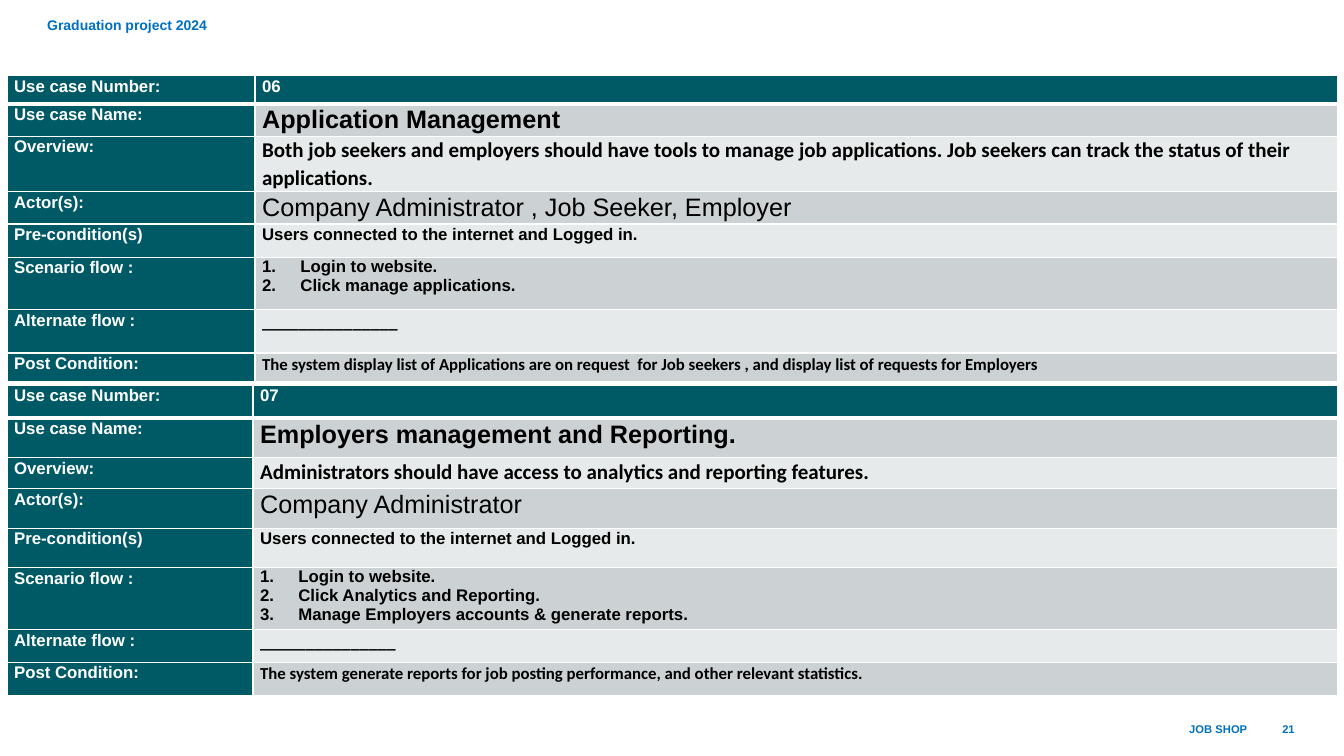
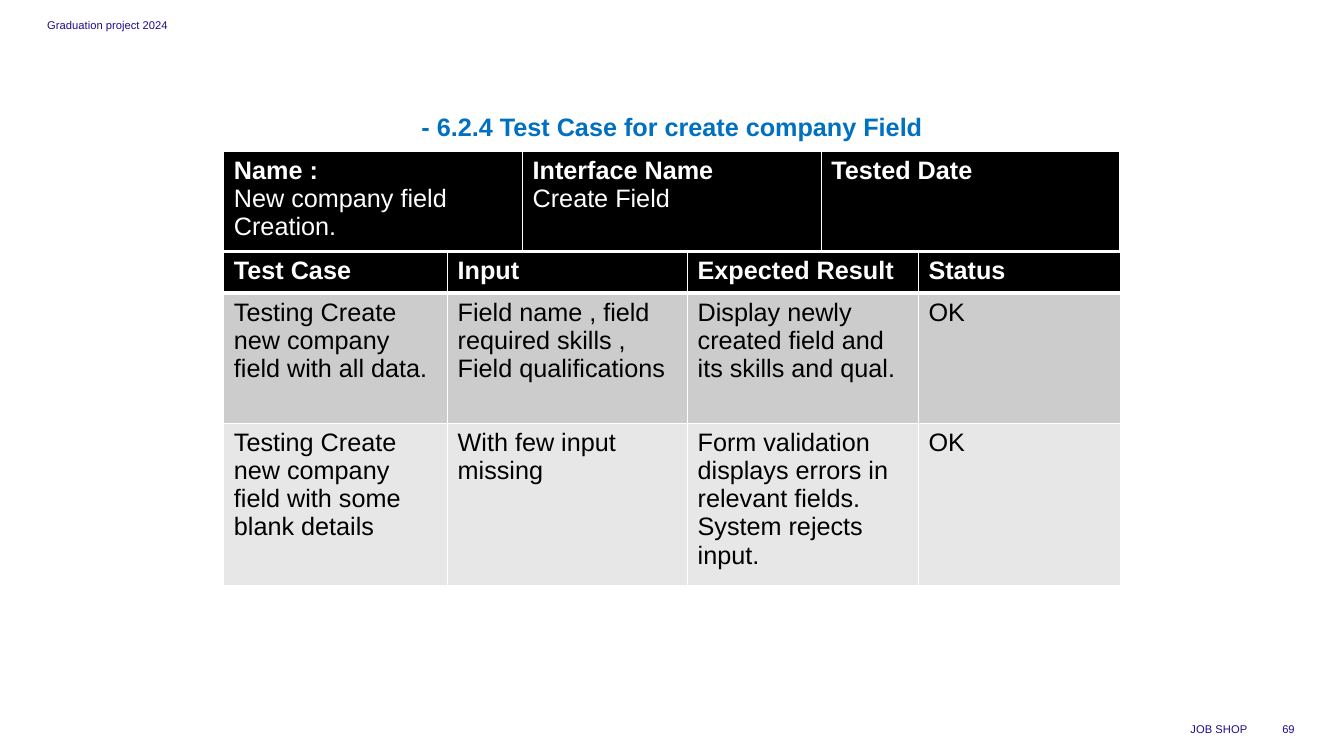
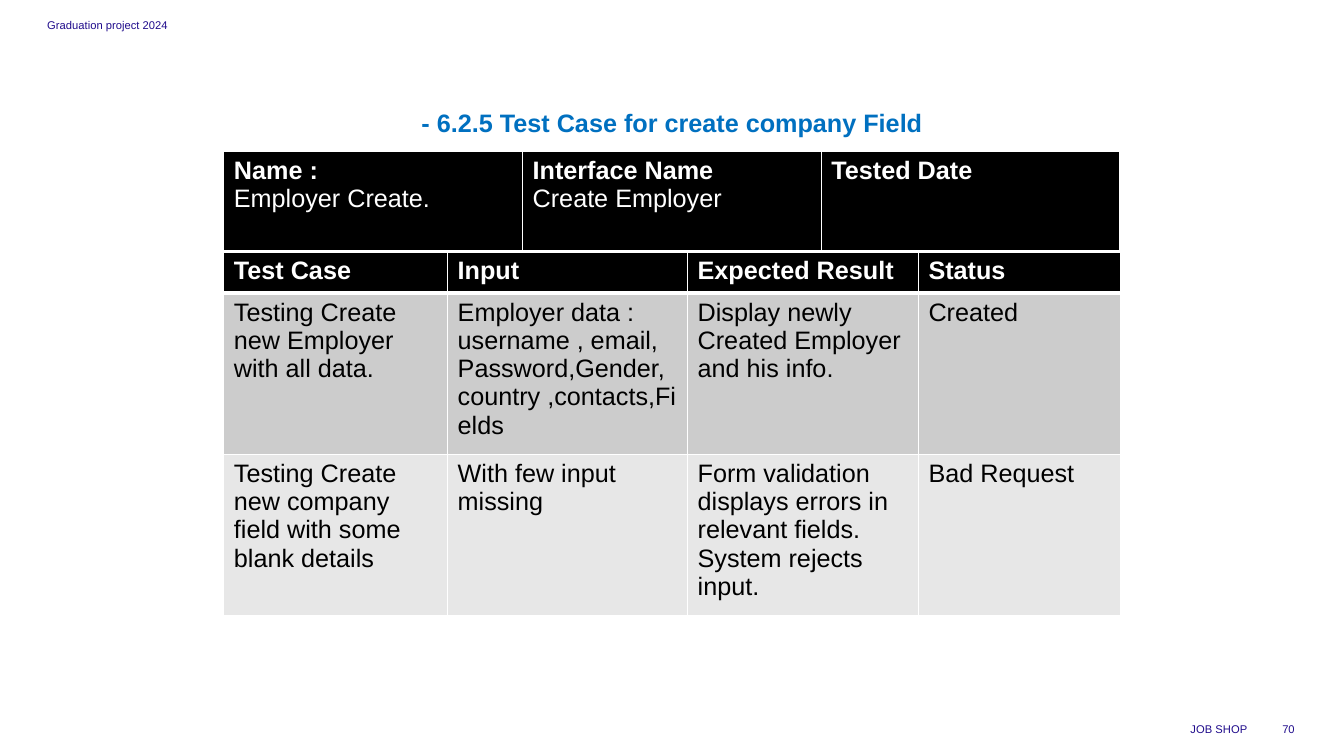
import pptx
import pptx.dml.color
import pptx.enum.text
import pptx.oxml
import pptx.oxml.ns
import pptx.util

Inches = pptx.util.Inches
Pt = pptx.util.Pt
ALIGN = pptx.enum.text.PP_ALIGN
ANCHOR = pptx.enum.text.MSO_ANCHOR

COLORS = {
    "white": "FFFFFF", "black": "000000", "blue": "0070C0", "indigo": "200C8C",
    "teal": "005A66", "teal_band": "CCD2D3", "teal_pale": "E7EAEA",
    "gray_band": "CCCCCC", "gray_pale": "E7E7E7",
}

STYLES = {
    "title": ("Arial", 18, True, "blue"),
    "running_head": ("Arial", 10, True, "blue"),
    "running_foot": ("Arial", 8, True, "blue"),
    "running_plain": ("Arial", 8, False, "indigo"),
    "label": ("Arial", 12, True, "white"),
    "use_case_name": ("Arial", 18, True, "black"),
    "overview": ("Calibri", 15, True, "black"),
    "actors": ("Arial", 18, False, "black"),
    "condition": ("Arial", 12, True, "black"),
    "steps": ("Arial", 12, True, "black"),
    "alternate": ("Calibri", 13, True, "black"),
    "outcome": ("Calibri", 12, True, "black"),
    "test_head": ("Arial", 18, True, "white"),
    "test_name": ("Arial", 18, False, "white"),
    "test_body": ("Arial", 18, False, "black"),
}

HEADER = "Graduation project 2024"
FOOTER = "JOB SHOP"

USE_CASE_FIELDS = [
    ("Use case Number:", "label"),
    ("Use case Name:", "use_case_name"),
    ("Overview:", "overview"),
    ("Actor(s):", "actors"),
    ("Pre-condition(s)", "condition"),
    ("Scenario flow :", "steps"),
    ("Alternate flow :", "alternate"),
    ("Post Condition:", "outcome"),
]

USE_CASES = [
    {
        "top": 0.75,
        "columns": [2.46, 10.74],
        "rows": [0.28, 0.32, 0.55, 0.32, 0.33, 0.52, 0.43, 0.28],
        "values": [
            ["06"],
            ["Application Management"],
            ["Both job seekers and employers should have tools to manage job applications. "
             "Job seekers can track the status of their applications."],
            ["Company Administrator , Job Seeker, Employer"],
            ["Users connected to the internet and Logged in."],
            ["Login to website.", "Click manage applications."],
            ["_______________"],
            ["The system display list of Applications are on request  for Job seekers , "
             "and display list of requests for Employers"],
        ],
    },
    {
        "top": 3.82,
        "columns": [2.44, 10.76],
        "rows": [0.33, 0.39, 0.31, 0.39, 0.39, 0.62, 0.32, 0.33],
        "values": [
            ["07"],
            ["Employers management and Reporting."],
            ["Administrators should have access to analytics and reporting features."],
            ["Company Administrator"],
            ["Users connected to the internet and Logged in."],
            ["Login to website.", "Click Analytics and Reporting.",
             "Manage Employers accounts & generate reports."],
            ["_______________"],
            ["The system generate reports for job posting performance, "
             "and other relevant statistics."],
        ],
    },
]

TEST_COLUMNS = ["Test Case", "Input", "Expected Result", "Status"]
BLANK_DETAILS = [
    "Testing Create new company field with some blank details",
    "With few input missing",
    "Form validation displays errors in relevant fields. System rejects input.",
]

TEST_CASES = [
    {
        "page": "69",
        "title": "- 6.2.4 Test Case for create company Field",
        "title_top": 1.05,
        "name": "New company field Creation.",
        "interface": "Create Field",
        "rows": [0.41, 1.29, 1.61],
        "results": [
            ["Testing Create new company field with all data.",
             "Field name , field required skills ,\nField qualifications",
             "Display newly created field and its skills and qual.",
             "OK"],
            BLANK_DETAILS + ["OK"],
        ],
    },
    {
        "page": "70",
        "title": "- 6.2.5 Test Case for create company Field",
        "title_top": 1.01,
        "name": "Employer Create.",
        "interface": "Create Employer",
        "rows": [0.41, 1.6, 1.6],
        "results": [
            ["Testing Create new Employer with all data.",
             "Employer data :\nusername , email,\nPassword,Gender,country ,contacts,Fields",
             "Display newly Created Employer and his info.",
             "Created"],
            BLANK_DETAILS + ["Bad Request"],
        ],
    },
]


def rgb(color):
    return pptx.dml.color.RGBColor.from_string(COLORS[color])


def apply_style(paragraph, style):
    font = paragraph.font
    font.name, size, font.bold, color = STYLES[style]
    font.size = Pt(size)
    font.color.rgb = rgb(color)


def number_step(paragraph):
    properties = paragraph._p.get_or_add_pPr()
    properties.set("marL", str(Inches(0.38)))
    properties.set("indent", str(-Inches(0.38)))
    numbering = pptx.oxml.parse_xml(
        f'<a:buAutoNum {pptx.oxml.ns.nsdecls("a")} type="arabicPeriod"/>')
    properties.append(numbering)


def write_lines(frame, lines, line_spacing=None):
    for index, (text, style) in enumerate(lines):
        paragraph = frame.paragraphs[0] if index == 0 else frame.add_paragraph()
        paragraph.text = text
        if style == "steps":
            number_step(paragraph)
        elif line_spacing:
            paragraph.line_spacing = line_spacing
        apply_style(paragraph, style)


def add_borders(cell, widths):
    properties = cell._tc.get_or_add_tcPr()
    for side, width in widths.items():
        properties.append(pptx.oxml.parse_xml(
            f'<a:ln{side} {pptx.oxml.ns.nsdecls("a")} w="{Pt(width)}">'
            f'<a:solidFill><a:srgbClr val="{COLORS["white"]}"/></a:solidFill>'
            f'</a:ln{side}>'))


def add_grid(slide, left, top, columns, rows, cells, side_inset=0.1, end_inset=0.05,
             line_spacing=None):
    table = slide.shapes.add_table(
        len(rows), len(columns), Inches(left), Inches(top),
        Inches(sum(columns)), Inches(sum(rows))).table
    table.first_row = table.horz_banding = False
    for column, width in zip(table.columns, columns):
        column.width = Inches(width)
    for row_index, (row, height) in enumerate(zip(table.rows, rows)):
        row.height = Inches(height)
        widths = {"L": 1, "R": 1, "T": 3 if row_index == 1 else 1,
                  "B": 3 if row_index == 0 else 1}
        for cell, (lines, fill) in zip(row.cells, cells[row_index]):
            cell.margin_left = cell.margin_right = Inches(side_inset)
            cell.margin_top = cell.margin_bottom = Inches(end_inset)
            add_borders(cell, widths)
            cell.fill.solid()
            cell.fill.fore_color.rgb = rgb(fill)
            write_lines(cell.text_frame, lines, line_spacing)


def add_running_text(slide, page, head_style, foot_style):
    for text, style, left, top, width, height, align in [
        (HEADER, head_style, 0.37, 0.07, 3, 0.35, ALIGN.LEFT),
        (FOOTER, foot_style, 8.03, 7.03, 4.44, 0.4, ALIGN.RIGHT),
        (page, foot_style, 12.47, 7.03, 0.47, 0.4, ALIGN.RIGHT),
    ]:
        frame = slide.shapes.add_textbox(
            Inches(left), Inches(top), Inches(width), Inches(height)).text_frame
        frame.word_wrap = True
        frame.vertical_anchor = ANCHOR.MIDDLE
        write_lines(frame, [(text, style)])
        frame.paragraphs[0].alignment = align


def add_title(slide, text, top):
    title = slide.shapes.title
    title.left, title.top = Inches(0), Inches(top)
    title.width, title.height = Inches(13.33), Inches(0.4)
    frame = title.text_frame
    frame.word_wrap = True
    frame.auto_size = pptx.enum.text.MSO_AUTO_SIZE.NONE
    frame.vertical_anchor = ANCHOR.TOP
    write_lines(frame, [(text, "title")])
    frame.paragraphs[0].alignment = ALIGN.CENTER


def build_use_cases(deck):
    slide = deck.slides.add_slide(deck.slide_layouts[6])
    add_running_text(slide, "21", "running_head", "running_foot")
    for case in USE_CASES:
        cells = []
        for index, ((label, style), lines) in enumerate(zip(USE_CASE_FIELDS, case["values"])):
            band = "teal" if index == 0 else ("teal_pale", "teal_band")[index % 2]
            cells.append([([(label, "label")], "teal"),
                          ([(line, style) for line in lines], band)])
        add_grid(slide, 0.07, case["top"], case["columns"], case["rows"], cells,
                 side_inset=0.07, end_inset=0, line_spacing=1.07)


def build_test_case(deck, case):
    slide = deck.slides.add_slide(deck.slide_layouts[5])
    add_title(slide, case["title"], case["title_top"])
    add_running_text(slide, case["page"], "running_plain", "running_plain")
    summary = [
        [("Name :", "test_head"), (case["name"], "test_name")],
        [("Interface Name", "test_head"), (case["interface"], "test_name")],
        [("Tested Date", "test_head")],
    ]
    add_grid(slide, 2.22, 1.5, [8.89 / 3] * 3, [1],
             [[(lines, "black") for lines in summary]])
    cells = [[([(heading, "test_head")], "black") for heading in TEST_COLUMNS]]
    for result, band in zip(case["results"], ("gray_band", "gray_pale")):
        cells.append([([(line, "test_body") for line in text.split("\n")], band)
                      for text in result])
    add_grid(slide, 2.22, 2.5, [2.22, 2.38, 2.29, 2], case["rows"], cells)


def main():
    deck = pptx.Presentation()
    deck.slide_width, deck.slide_height = Inches(13.33), Inches(7.5)
    build_use_cases(deck)
    for case in TEST_CASES:
        build_test_case(deck, case)
    deck.save("out.pptx")


if __name__ == "__main__":
    main()
